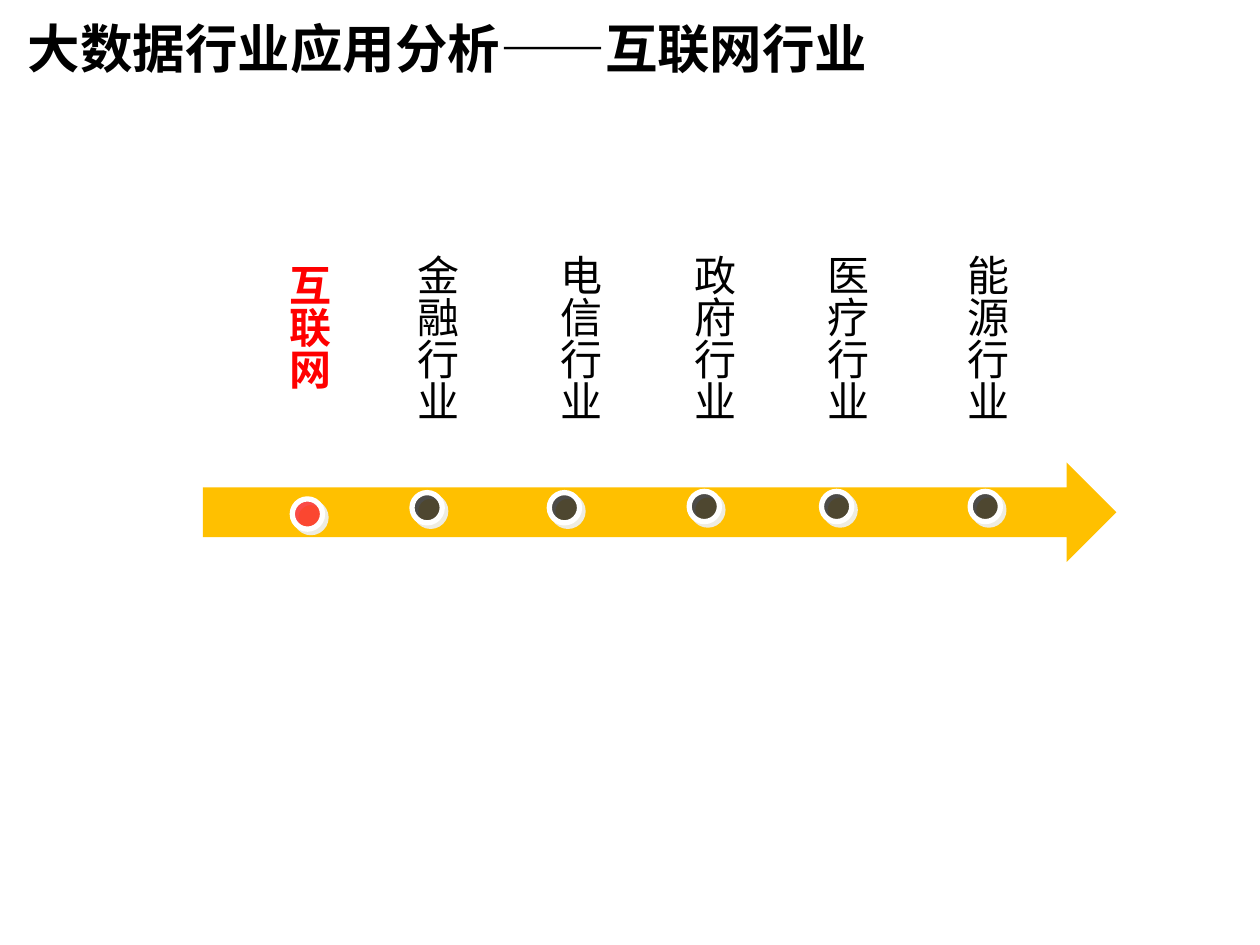
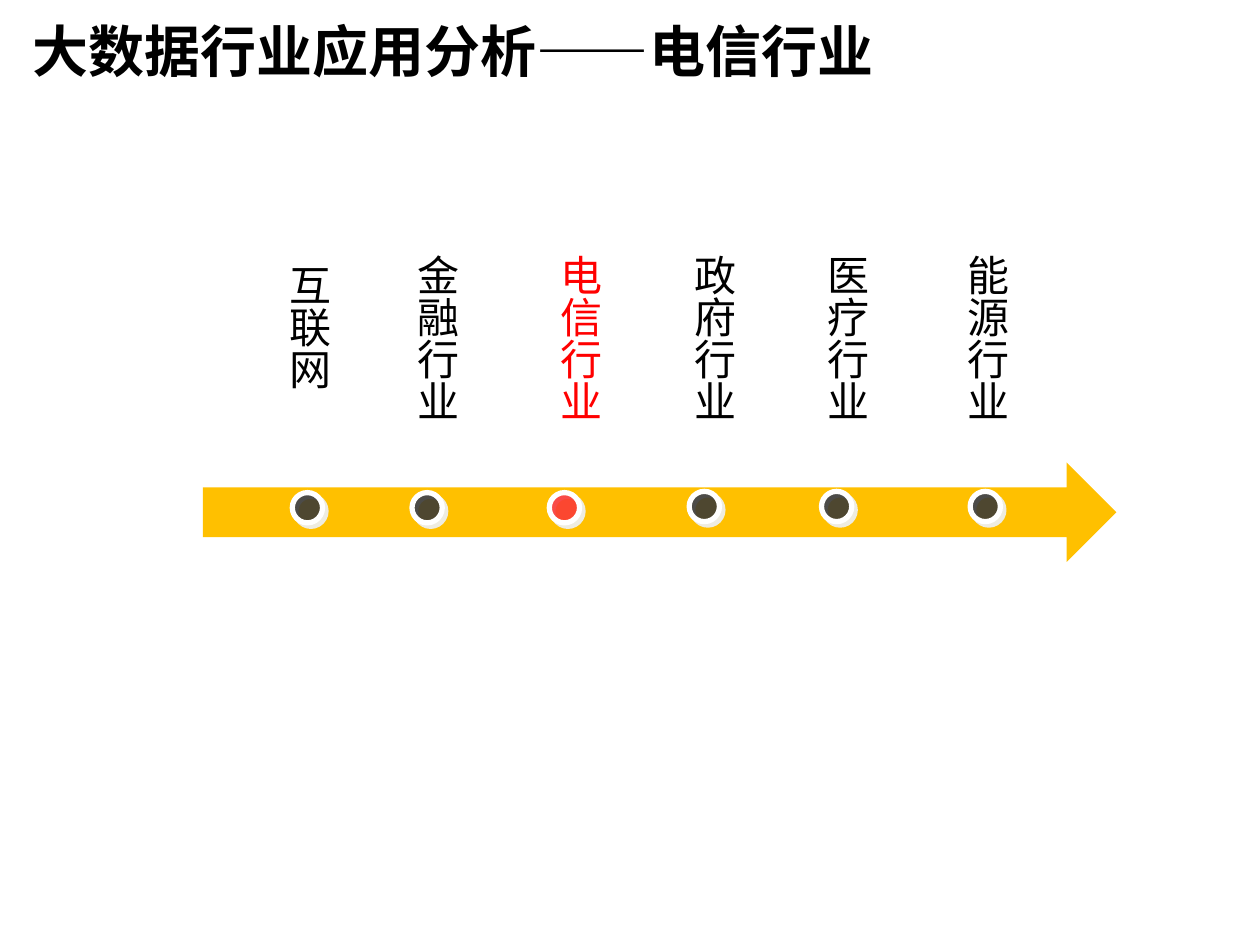
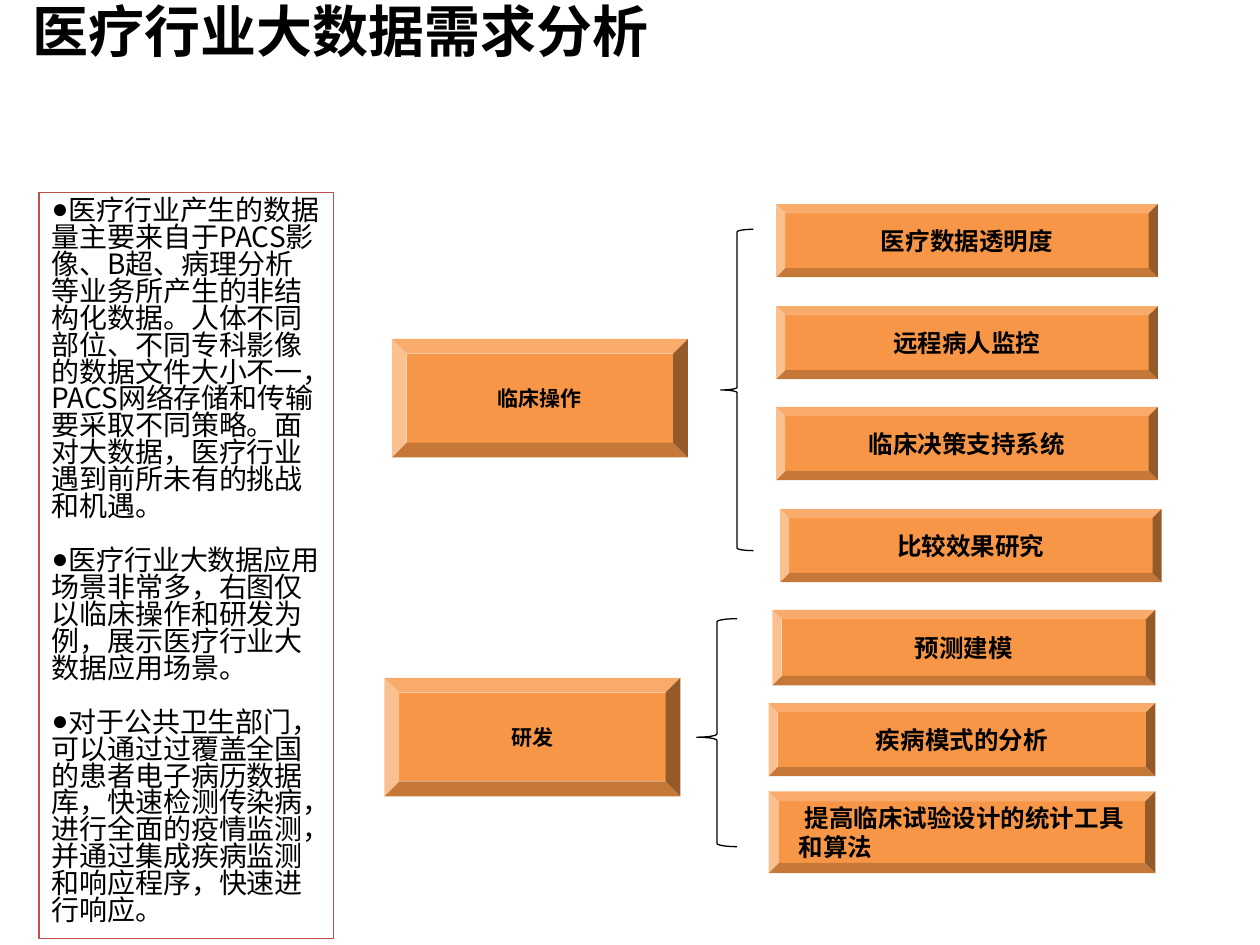
from lxml.etree import SubElement
from pptx import Presentation
from pptx.dml.color import RGBColor
from pptx.enum.shapes import MSO_SHAPE
from pptx.enum.text import MSO_ANCHOR, MSO_AUTO_SIZE, PP_ALIGN
from pptx.oxml.ns import qn
from pptx.util import Inches, Pt

COLORS = {
    "text": "000000",
    "highlight": "FF0000",
    "arrow": "FFC000",
    "ring": "FFFFFF",
    "shadow": "EEECE1",
    "box": "F79646",
    "frame": "C0504D",
}
CJK_FONT = "Noto Sans CJK SC"
TITLE_ONLY, TITLE_AND_CONTENT = 5, 1

INDUSTRIES = [
    ("互联网", 2.09, 2.1, 1.65, 2.32, 3.91),
    ("金融行业", 3.11, 2.02, 1.65, 3.27, 3.91),
    ("电信行业", 4.24, 2.02, 1.65, 4.36, 3.91),
    ("政府行业", 5.31, 2.02, 1.89, 5.47, 3.9),
    ("医疗行业", 6.36, 2.02, 1.89, 6.52, 3.9),
    ("能源行业", 7.47, 2.02, 1.65, 7.7, 3.9),
]

NEEDS = [
    "医疗行业产生的数据量主要来自于PACS影像、B超、病理分析等业务所产生的非结构化数据。"
    "人体不同部位、不同专科影像的数据文件大小不一，PACS网络存储和传输要采取不同策略。"
    "面对大数据，医疗行业遇到前所未有的挑战和机遇。",
    "医疗行业大数据应用场景非常多，右图仅以临床操作和研发为例，展示医疗行业大数据应用场景。",
    "对于公共卫生部门，可以通过过覆盖全国的患者电子病历数据库，快速检测传染病，"
    "进行全面的疫情监测，并通过集成疾病监测和响应程序，快速进行响应。",
]

FIELDS = [
    ("临床操作", 3.11, 2.69),
    ("研发", 3.05, 5.38),
]

SCENARIOS = [
    ("医疗数据透明度", 6.16, 1.62, 3.03, 0.58),
    ("远程病人监控", 6.16, 2.43, 3.03, 0.58),
    ("临床决策支持系统", 6.16, 3.23, 3.03, 0.58),
    ("比较效果研究", 6.19, 4.04, 3.03, 0.58),
    ("预测建模", 6.13, 4.84, 3.04, 0.6),
    ("疾病模式的分析", 6.1, 5.58, 3.07, 0.58),
]


def rgb(name):
    return RGBColor.from_string(COLORS[name])


def place(shape, left, top, width, height):
    shape.left, shape.top = Inches(left), Inches(top)
    shape.width, shape.height = Inches(width), Inches(height)


def style(paragraph, font_name, size, color="text", bold=False):
    font = paragraph.font
    font.name = font_name
    font.size = Pt(size)
    font.bold = bold
    font.color.rgb = rgb(color)
    east_asian = SubElement(font._element, qn("a:ea"))
    east_asian.set("typeface", CJK_FONT)


def add_preset(slide, preset, left, top, width, height, fill=None, line=None, line_width=0.75):
    shape = slide.shapes.add_shape(
        preset, Inches(left), Inches(top), Inches(width), Inches(height))
    shape.shadow.inherit = False
    if fill:
        shape.fill.solid()
        shape.fill.fore_color.rgb = rgb(fill)
    else:
        shape.fill.background()
    if line:
        shape.line.color.rgb = rgb(line)
        shape.line.width = Pt(line_width)
    else:
        shape.line.fill.background()
    return shape


def set_title(slide, text, left, top, width, size):
    title = slide.shapes.title
    place(title, left, top, width, 0.78)
    frame = title.text_frame
    frame.text = text
    frame.auto_size = MSO_AUTO_SIZE.NONE
    frame.vertical_anchor = MSO_ANCHOR.TOP
    frame.margin_top = 0
    paragraph = frame.paragraphs[0]
    paragraph.alignment = PP_ALIGN.LEFT
    style(paragraph, "Calibri", size, bold=True)


def add_dot(slide, left, top, color):
    dot = add_preset(slide, MSO_SHAPE.OVAL, left, top, 0.24, 0.24, color, "ring", 3)
    properties = dot._element.spPr
    fill_color = properties.find(qn("a:solidFill")).find(qn("a:srgbClr"))
    SubElement(fill_color, qn("a:alpha")).set("val", "68000")
    shadow = SubElement(properties.find(qn("a:effectLst")), qn("a:outerShdw"))
    shadow.set("dist", str(Pt(2.8)))
    shadow.set("dir", str(45 * 60000))
    shadow.set("algn", "ctr")
    shadow.set("rotWithShape", "0")
    SubElement(shadow, qn("a:srgbClr")).set("val", COLORS["shadow"])


def add_vertical_label(slide, text, left, top, height, color, bold):
    label = slide.shapes.add_textbox(
        Inches(left), Inches(top), Inches(0.61), Inches(height))
    frame = label.text_frame
    frame.word_wrap = True
    frame.margin_top = 0
    frame._txBody.bodyPr.set("vert", "eaVert")
    frame.text = text
    style(frame.paragraphs[0], CJK_FONT, 24, color, bold)


def add_timeline(slide, current, bold=False):
    add_preset(slide, MSO_SHAPE.RIGHT_ARROW, 1.61, 3.67, 7.25, 0.79, "arrow")
    for name, left, top, height, dot_left, dot_top in INDUSTRIES:
        active = name == current
        color = "highlight" if active else "text"
        if active and bold:
            dot_top += 0.05
        add_dot(slide, dot_left, dot_top, color)
        add_vertical_label(slide, name, left, top, height, color, active and bold)


def fill_needs(slide):
    body = slide.placeholders[1]
    place(body, 0.31, 1.53, 2.34, 5.92)
    body.line.color.rgb = rgb("frame")
    body.line.width = Pt(0.75)
    frame = body.text_frame
    frame.auto_size = MSO_AUTO_SIZE.NONE
    frame.vertical_anchor = MSO_ANCHOR.TOP
    for index, text in enumerate(NEEDS):
        paragraph = frame.paragraphs[0] if index == 0 else frame.add_paragraph()
        paragraph.text = text
        properties = paragraph._p.get_or_add_pPr()
        properties.set("marL", "0")
        properties.set("indent", "0")
        SubElement(properties, qn("a:buChar")).set("char", "●")
        paragraph.alignment = PP_ALIGN.LEFT
        paragraph.line_spacing = Pt(15.4)
        paragraph.space_before = Pt(15.4 if index else 0)
        style(paragraph, CJK_FONT, 16)


def add_bevel(slide, text, left, top, width, height, size, alignment=PP_ALIGN.CENTER):
    box = add_preset(slide, MSO_SHAPE.BEVEL, left, top, width, height, "box")
    frame = box.text_frame
    frame.word_wrap = True
    frame.vertical_anchor = MSO_ANCHOR.MIDDLE
    frame.text = text
    paragraph = frame.paragraphs[0]
    paragraph.alignment = alignment
    style(paragraph, "Arial", size, bold=True)
    return box


def add_brace(slide, left, top, width, height, tip=0.5):
    brace = add_preset(
        slide, MSO_SHAPE.LEFT_BRACE, left, top, width, height, line="text")
    brace.adjustments[0] = 0.08
    brace.adjustments[1] = tip


def add_scenario_tree(slide):
    for text, left, top in FIELDS:
        add_bevel(slide, text, left, top, 2.35, 0.94, 12)
    for text, left, top, width, height in SCENARIOS:
        add_bevel(slide, text, left, top, width, height, 14)
    statistics = add_bevel(
        slide, " 提高临床试验设计的统计工具和算法", 6.1, 6.28, 3.07, 0.65, 14, PP_ALIGN.LEFT)
    statistics.text_frame.margin_left = Inches(0.16)
    add_brace(slide, 5.72, 1.82, 0.26, 2.55)
    add_brace(slide, 5.53, 4.91, 0.32, 1.81, 0.52)


def add_slide(presentation, layout):
    return presentation.slides.add_slide(presentation.slide_layouts[layout])


def main():
    presentation = Presentation()
    presentation.slide_width = Inches(10)
    presentation.slide_height = Inches(7.5)

    internet = add_slide(presentation, TITLE_ONLY)
    set_title(internet, "大数据行业应用分析——互联网行业", 0.12, 0.13, 10.47, 30)
    add_timeline(internet, "互联网", bold=True)

    telecom = add_slide(presentation, TITLE_ONLY)
    set_title(telecom, "大数据行业应用分析——电信行业", 0.16, 0.13, 9, 32)
    add_timeline(telecom, "电信行业")

    medical = add_slide(presentation, TITLE_AND_CONTENT)
    set_title(medical, "医疗行业大数据需求分析", 0.16, -0.03, 9, 32)
    fill_needs(medical)
    add_scenario_tree(medical)

    presentation.save("out.pptx")


if __name__ == "__main__":
    main()
